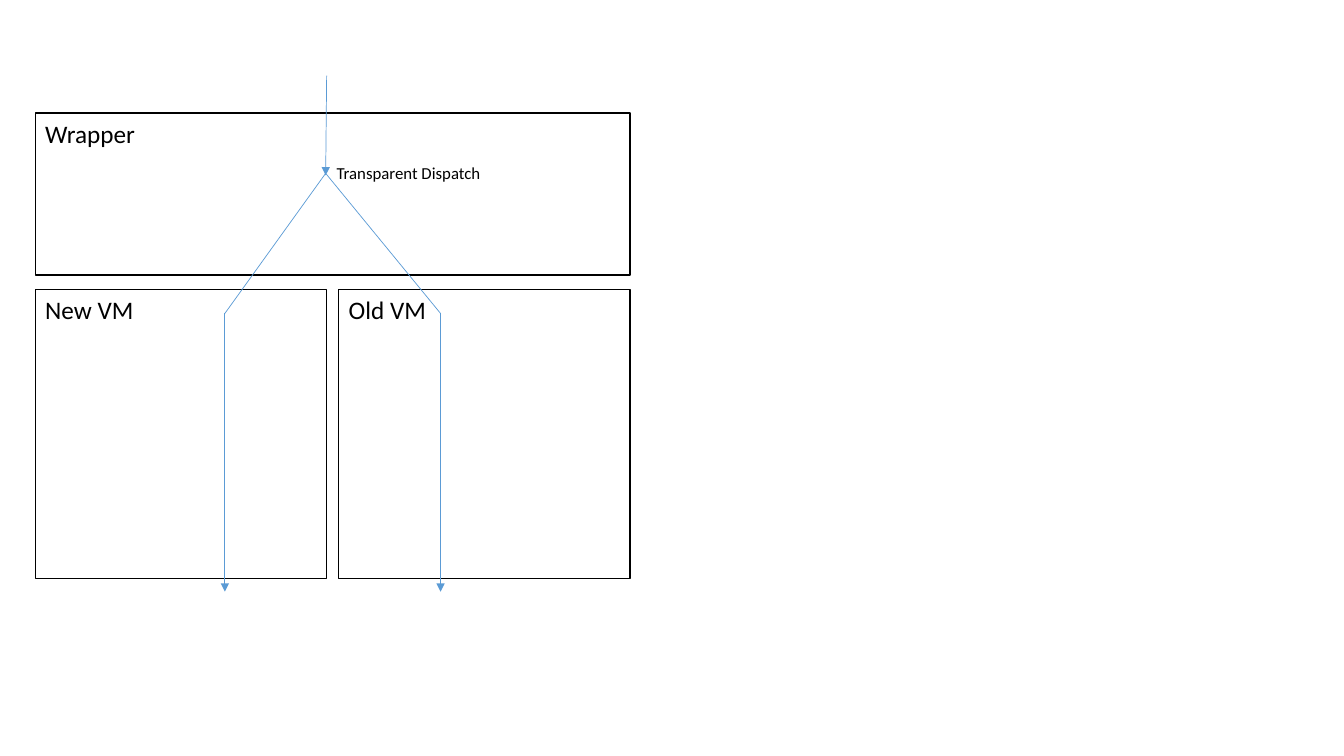
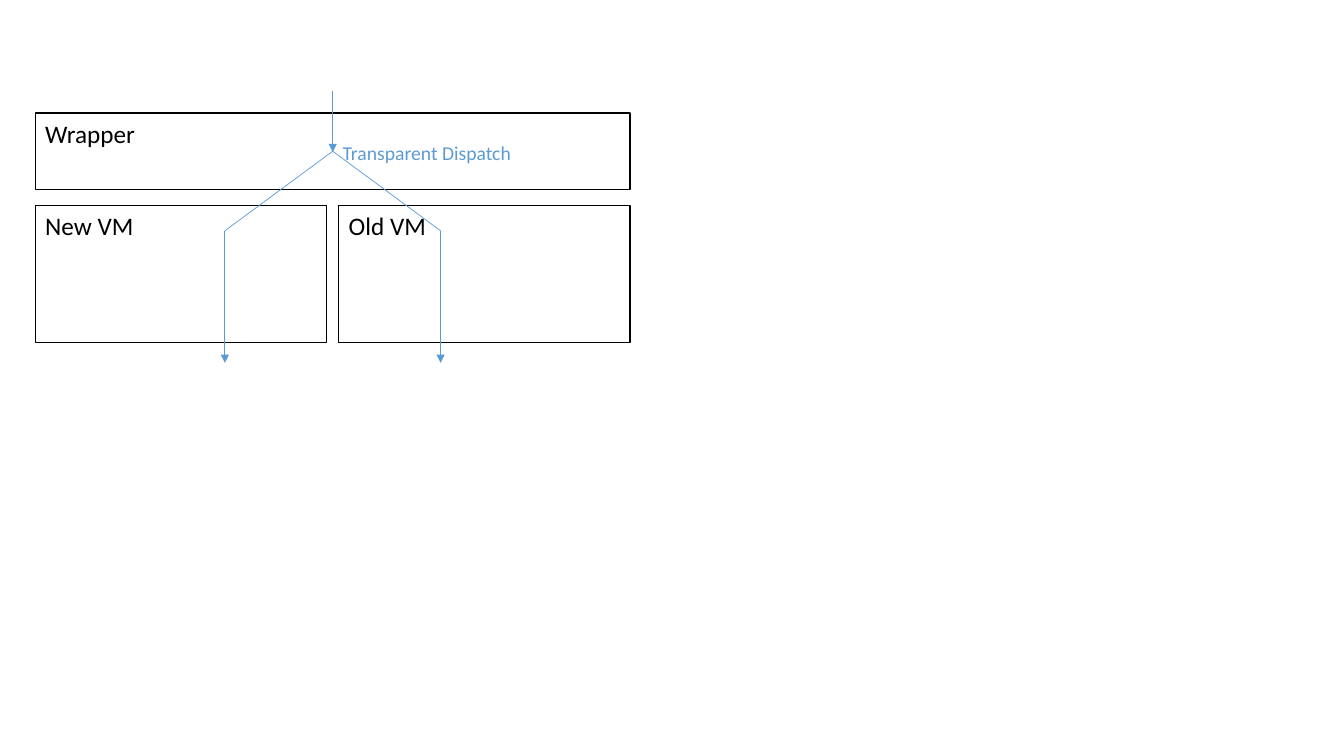
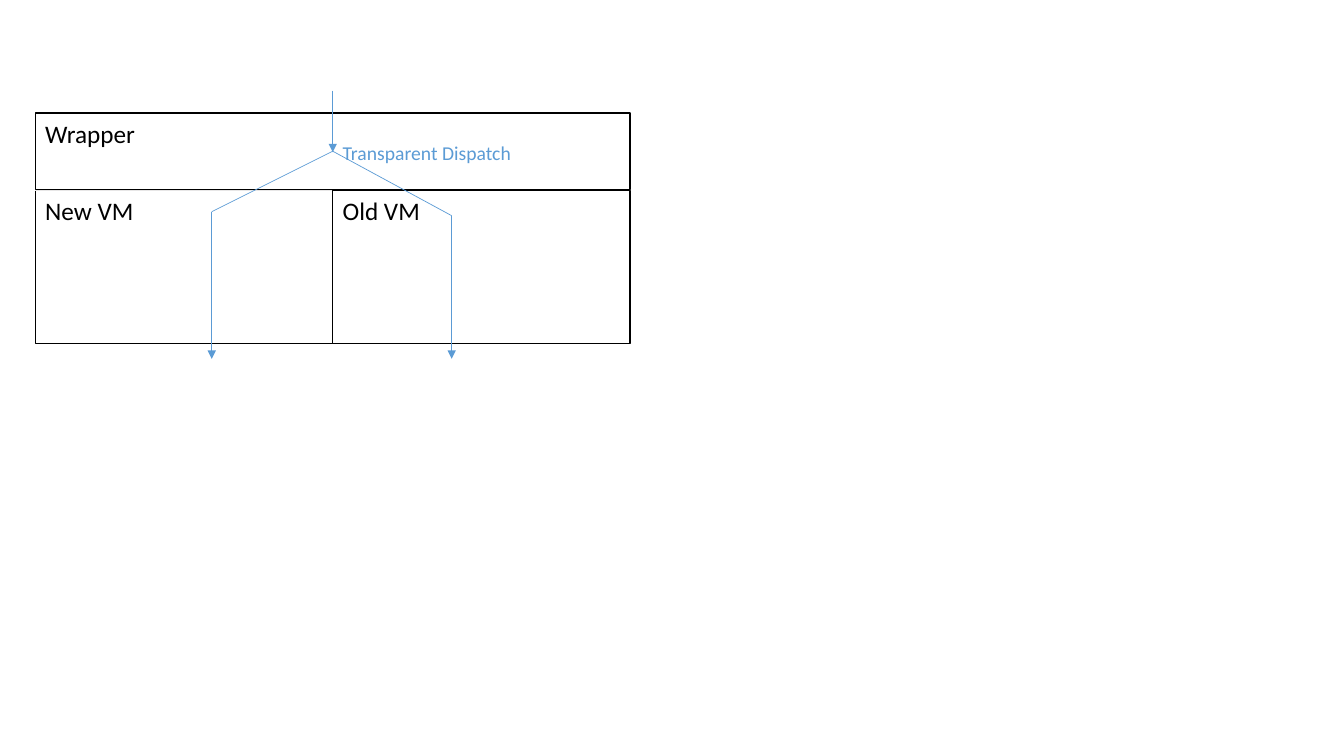
from pptx import Presentation
from pptx.dml.color import RGBColor
from pptx.enum import shapes, text
from pptx.oxml import ns, xmlchemy
from pptx.util import Inches, Pt

HUES = {"ink": "000000", "paper": "FFFFFF", "flow": "5B9BD5", "seam": "E7E6E6"}


class Deck:
    font = "Calibri"
    left, top, width = 0.35, 1.12, 5.9

    def __init__(self):
        self.prs = Presentation()
        self.prs.slide_width = Inches(13.33)
        self.prs.slide_height = Inches(7.5)
        self.slide = None

    def hue(self, name):
        return RGBColor.from_string(HUES[name])

    def page(self):
        self.slide = self.prs.slides.add_slide(self.prs.slide_layouts[6])

    def style(self, frame, words, size, hue):
        frame.text = words
        para = frame.paragraphs[0]
        para.alignment = text.PP_ALIGN.LEFT
        para.font.name = self.font
        para.font.size = Pt(size)
        para.font.color.rgb = self.hue(hue)

    def box(self, words, x, y, w, h):
        box = self.slide.shapes.add_shape(
            shapes.MSO_SHAPE.RECTANGLE, Inches(x), Inches(y), Inches(w), Inches(h))
        box.shadow.inherit = False
        box.fill.solid()
        box.fill.fore_color.rgb = self.hue("paper")
        box.line.color.rgb = self.hue("ink")
        box.line.width = Pt(1)
        box.text_frame.vertical_anchor = text.MSO_ANCHOR.TOP
        self.style(box.text_frame, words, 18, "ink")

    def label(self, words, x, y, w, h, size, hue):
        box = self.slide.shapes.add_textbox(
            Inches(x), Inches(y), Inches(w), Inches(h))
        box.text_frame.word_wrap = False
        box.text_frame.auto_size = text.MSO_AUTO_SIZE.SHAPE_TO_FIT_TEXT
        self.style(box.text_frame, words, size, hue)

    def line(self, start, end, tip=False, hue="flow", width=0.5):
        line = self.slide.shapes.add_connector(
            shapes.MSO_CONNECTOR.STRAIGHT, *map(Inches, start + end))
        line.line.color.rgb = self.hue(hue)
        line.line.width = Pt(width)
        props = line._element.spPr
        if tip:
            tail = xmlchemy.OxmlElement("a:tailEnd")
            tail.set("type", "triangle")
            props.find(ns.qn("a:ln")).append(tail)
        props.append(xmlchemy.OxmlElement("a:effectLst"))

    def stack(self, height, floor, depth, gap):
        half = (self.width - gap) / 2
        self.box("Wrapper", self.left, self.top, self.width, height)
        self.box("Old VM", self.left + half + gap, floor, half, depth)
        self.box("New VM", self.left, floor, half, depth)

    def split(self, start, tip, fork, bends, foot):
        self.line(start, tip, tip=True)
        for bend in bends:
            self.line(fork, bend)
            self.line(bend, (bend[0], foot), tip=True)


def main():
    deck = Deck()
    name = "Transparent Dispatch"

    deck.page()
    deck.stack(1.61, 2.87, 2.87, 0.12)
    deck.label(name, 3.24, 1.57, 1.64, 0.3, 12, "ink")
    deck.split((3.24, 0.75), (3.23, 1.74), (3.23, 1.72),
               [(2.23, 3.11), (4.37, 3.11)], 5.87)

    small = [
        (2.04, 1.36, 0.12, [(2.23, 2.29), (4.37, 2.29)], 3.6),
        (1.89, 1.52, 0, [(2.1, 2.1), (4.48, 2.14)], 3.56),
    ]
    for floor, depth, gap, bends, foot in small:
        deck.page()
        deck.stack(0.76, floor, depth, gap)
        if not gap:
            deck.line((deck.left, floor), (3.29, floor), hue="seam", width=1)
        deck.label(name, 3.3, 1.35, 1.89, 0.34, 14, "flow")
        deck.split((3.3, 0.9), (3.3, 1.51), (3.3, 1.5), bends, foot)

    deck.prs.save("out.pptx")


if __name__ == "__main__":
    main()
